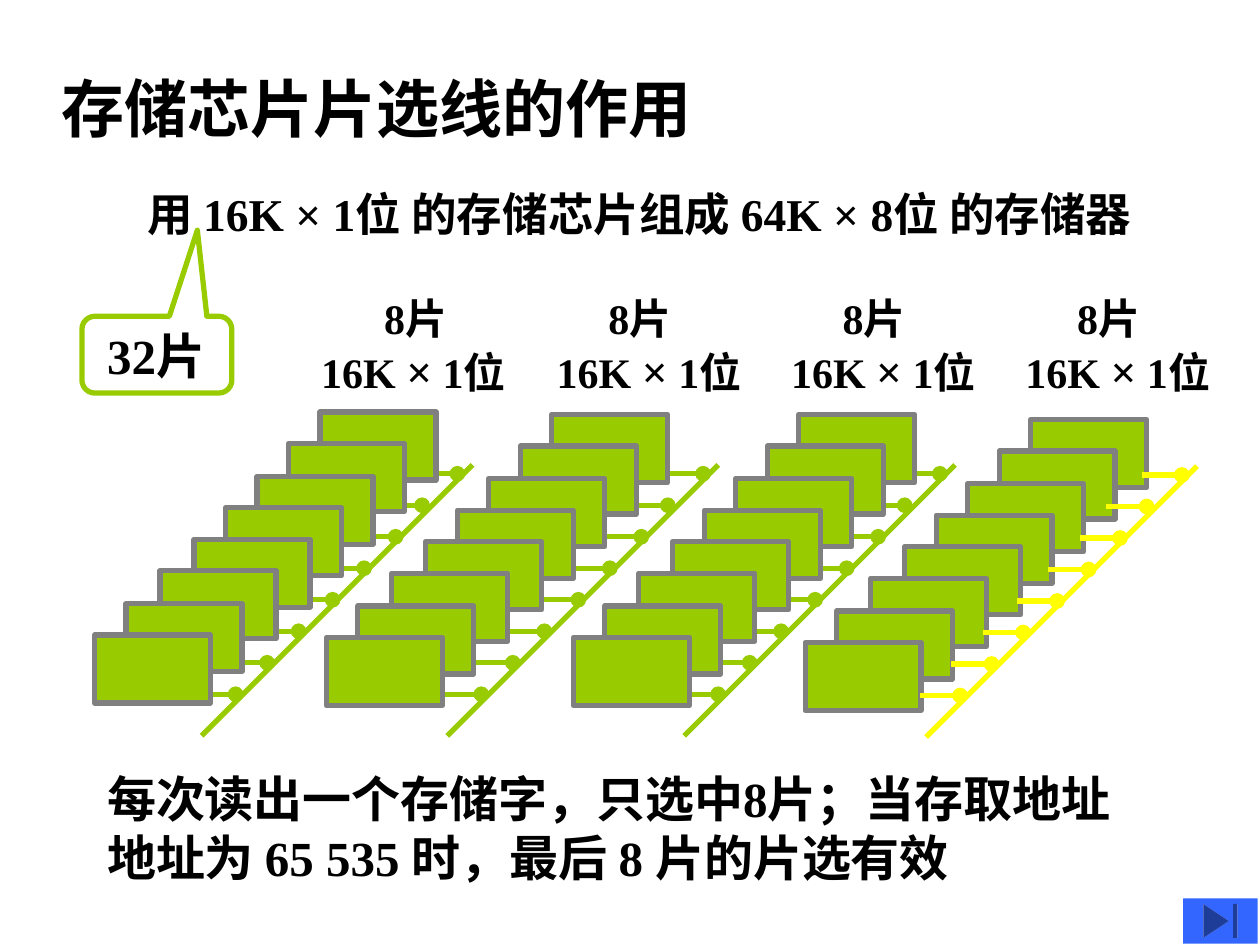
from dataclasses import dataclass

from lxml import etree
from pptx import Presentation
from pptx.dml.color import RGBColor
from pptx.enum.shapes import MSO_CONNECTOR, MSO_SHAPE
from pptx.enum.text import MSO_ANCHOR, MSO_AUTO_SIZE, PP_ALIGN
from pptx.oxml.ns import qn
from pptx.util import Pt

RECTANGLE = MSO_SHAPE.RECTANGLE
CALLOUT = MSO_SHAPE.ROUNDED_RECTANGULAR_CALLOUT
END_BUTTON = MSO_SHAPE.ACTION_BUTTON_END
STRAIGHT = MSO_CONNECTOR.STRAIGHT
TOP, MIDDLE = MSO_ANCHOR.TOP, MSO_ANCHOR.MIDDLE
LEFT = PP_ALIGN.LEFT
NO_AUTOSIZE = MSO_AUTO_SIZE.NONE
EMU_PER_PX = 9144


@dataclass(frozen=True)
class Theme:
    """Colours, font and type sizes of the slide."""

    font: str = "Times New Roman"
    ink: str = "000000"
    green: str = "99CC00"
    grey: str = "808080"
    selected: str = "FFFF00"
    button: str = "3366FF"
    stroke: int = 3
    title: int = 36
    body: int = 28
    intro: int = 26
    label: int = 24


@dataclass(frozen=True)
class Bank:
    """A stack of eight chips with its select line and caption."""

    chip_left: int
    chip_top: int
    bus_left: int
    bus_top: int
    label_left: int
    label_width: int
    label_indent: int
    selected: bool = False


THEME = Theme()
BANKS = [
    Bank(254, 327, 375, 369, 245, 221, 50),
    Bank(438, 329, 570, 369, 432, 210, 41),
    Bank(634, 329, 758, 369, 618, 182, 41),
    Bank(818, 333, 950, 370, 804, 196, 41, True),
]
CHIP_STEPS = [0, 25, 50, 75, 100, 127, 154, 179]
STUB_STEPS = [44, 72, 93, 118, 143, 170, 195, 220]
CHIP_WIDTH, CHIP_HEIGHT, CHIP_DROP = 92, 54, 177
STUB_LENGTH, STUB_PITCH, BUS_SPAN = 32, 25, 215


def px(*values: int) -> list[int]:
    """Turn pixel lengths into EMU."""
    return [value * EMU_PER_PX for value in values]


def write_text(para, text: str, *, size: int, bold: bool = True,
               color: str = THEME.ink) -> None:
    """Append one formatted span to a paragraph."""
    span = para.add_run()
    span.text = text
    span.font.name = THEME.font
    span.font.size = Pt(size)
    span.font.bold = bold
    span.font.color.rgb = RGBColor.from_string(color)


def prepare_frame(box, *, anchor=TOP, inset: int = 10):
    """Set insets, wrapping and anchor, and return the first paragraph."""
    frame = box.text_frame
    frame.word_wrap = True
    frame.auto_size = NO_AUTOSIZE
    frame.vertical_anchor = anchor
    frame.margin_left, frame.margin_right = px(inset, 0 if inset > 10 else 10)
    frame.margin_top, frame.margin_bottom = px(5, 5)
    para = frame.paragraphs[0]
    para.alignment = LEFT
    return para


def fill_placeholder(box, area: tuple[int, ...], text: str, size: int) -> None:
    """Move a placeholder and write plain unbulleted text in it."""
    box.left, box.top, box.width, box.height = px(*area)
    para = prepare_frame(box)
    properties = para._p.get_or_add_pPr()
    properties.set("marL", "0")
    properties.set("indent", "0")
    etree.SubElement(properties, qn("a:buNone"))
    para.space_before = Pt(0)
    write_text(para, text, size=size)


def add_box(page, kind, area: tuple[int, ...], fill: str = "", line: str = ""):
    """Add a preset shape with an optional fill and outline."""
    box = page.shapes.add_shape(kind, *px(*area))
    box.shadow.inherit = False
    if fill:
        box.fill.solid()
        box.fill.fore_color.rgb = RGBColor.from_string(fill)
    else:
        box.fill.background()
    if line:
        box.line.color.rgb = RGBColor.from_string(line)
        box.line.width = Pt(THEME.stroke)
    else:
        box.line.fill.background()
    return box


def add_line(page, ends: tuple[int, ...], color: str, dot: bool = False) -> None:
    """Add a straight line, with a dot at its end if asked."""
    line = page.shapes.add_connector(STRAIGHT, *px(*ends))
    line.line.color.rgb = RGBColor.from_string(color)
    line.line.width = Pt(THEME.stroke)
    properties = line._element.spPr
    if dot:
        etree.SubElement(properties.find(qn("a:ln")), qn("a:tailEnd"), type="oval")
    etree.SubElement(properties, qn("a:effectLst"))


def draw_select_line(page, bank: Bank) -> None:
    """Draw the slanted select line and its eight dotted stubs."""
    color = THEME.selected if bank.selected else THEME.green
    left, top = bank.bus_left, bank.bus_top
    add_line(page, (left, top, left - BUS_SPAN, top + BUS_SPAN), color)
    for index, step in enumerate(STUB_STEPS):
        y = top + 7 + index * STUB_PITCH
        add_line(page, (left - step, y, left - step + STUB_LENGTH, y), color, dot=True)


def draw_chips(page, bank: Bank) -> None:
    """Draw the eight overlapping chips from back to front."""
    for index, step in enumerate(CHIP_STEPS):
        drop = round(index * CHIP_DROP / (len(CHIP_STEPS) - 1))
        area = (bank.chip_left - step, bank.chip_top + drop, CHIP_WIDTH, CHIP_HEIGHT)
        add_box(page, RECTANGLE, area, THEME.green, THEME.grey)


def draw_label(page, bank: Bank) -> None:
    """Write the two-line caption above a bank."""
    box = page.shapes.add_textbox(*px(bank.label_left, 227, bank.label_width, 94))
    count = prepare_frame(box)
    count._p.get_or_add_pPr().set("marL", str(px(bank.label_indent)[0]))
    write_text(count, "8片", size=THEME.label)
    capacity = box.text_frame.add_paragraph()
    write_text(capacity, "16K ", size=THEME.label)
    write_text(capacity, "×", size=THEME.intro)
    write_text(capacity, " 1位", size=THEME.label)


def main() -> None:
    """Build and save the slide."""
    deck = Presentation()
    deck.slide_width, deck.slide_height = px(1000, 750)
    page = deck.slides.add_slide(deck.slide_layouts[1])
    fill_placeholder(page.shapes.title, (39, 50, 531, 70),
                     "存储芯片片选线的作用", THEME.title)
    fill_placeholder(page.placeholders[1], (75, 605, 847, 104),
                     "每次读出一个存储字，只选中8片；当存取地址地址为 65 535 时，最后 8 片的片选有效",
                     THEME.body)
    intro = page.shapes.add_textbox(*px(107, 143, 851, 54))
    write_text(prepare_frame(intro), "用 16K × 1位 的存储芯片组成 64K × 8位 的存储器",
               size=THEME.intro)

    for bank in BANKS:
        if not bank.selected:
            draw_select_line(page, bank)
    for bank in BANKS:
        draw_chips(page, bank)
        draw_label(page, bank)
        if bank.selected:
            draw_select_line(page, bank)

    callout = add_box(page, CALLOUT, (65, 251, 119, 61), line=THEME.green)
    callout.adjustments[0] = 0.27
    callout.adjustments[1] = -1.62
    callout.adjustments[2] = 0.17
    write_text(prepare_frame(callout, anchor=MIDDLE, inset=17), "32片", size=THEME.body)
    add_box(page, END_BUTTON, (939, 713, 59, 36), THEME.button)
    deck.save("out.pptx")


if __name__ == "__main__":
    main()
